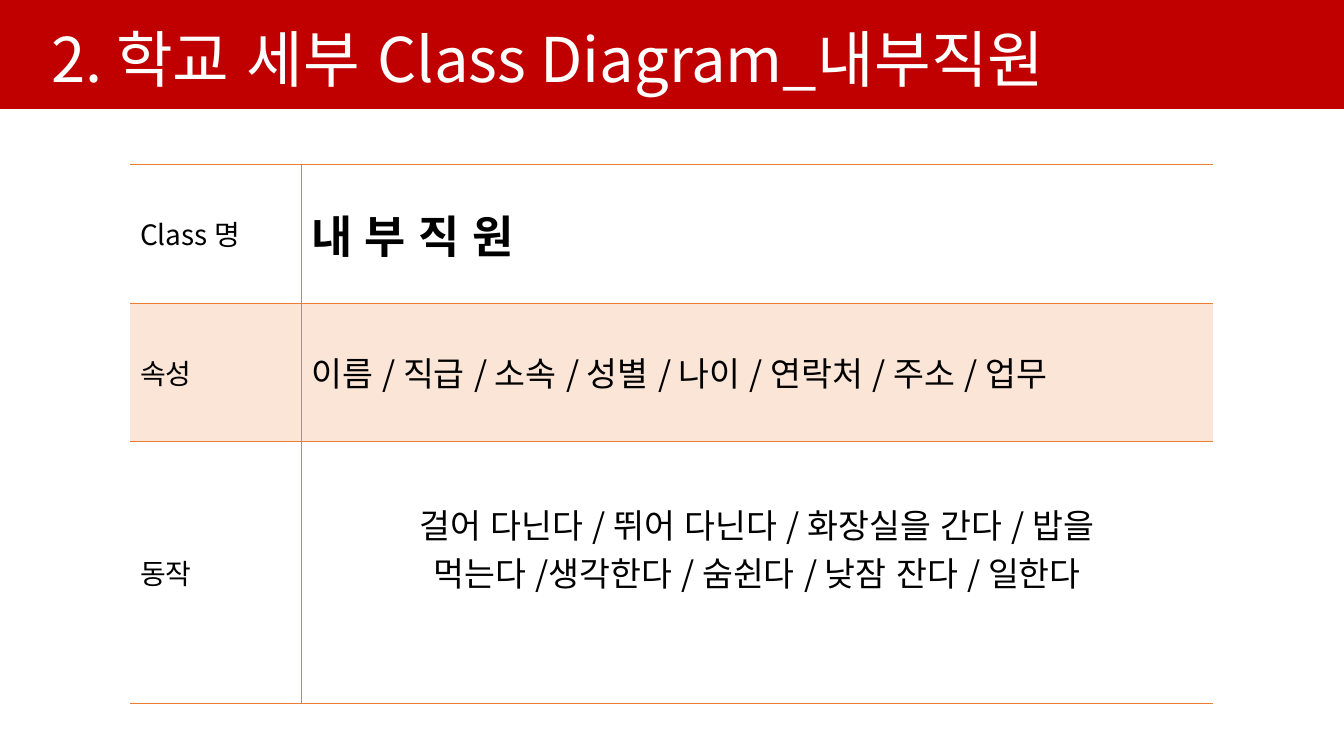
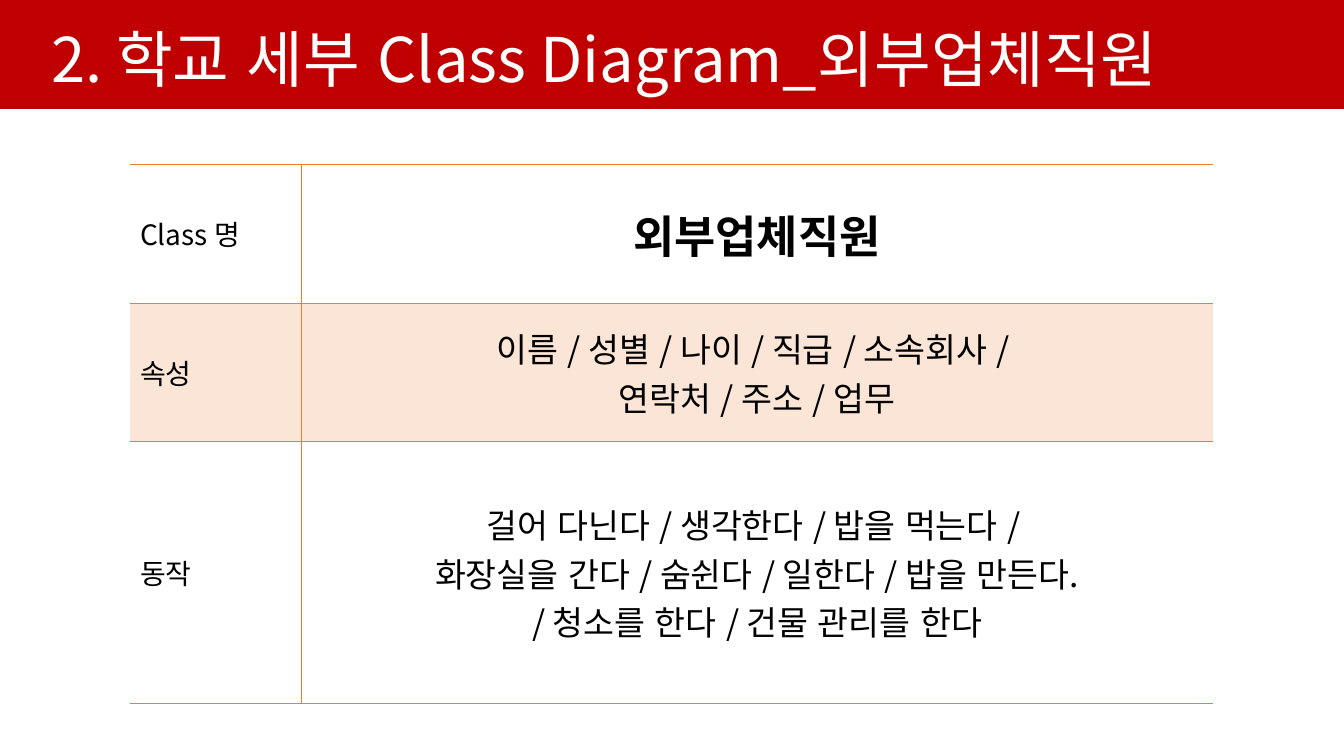
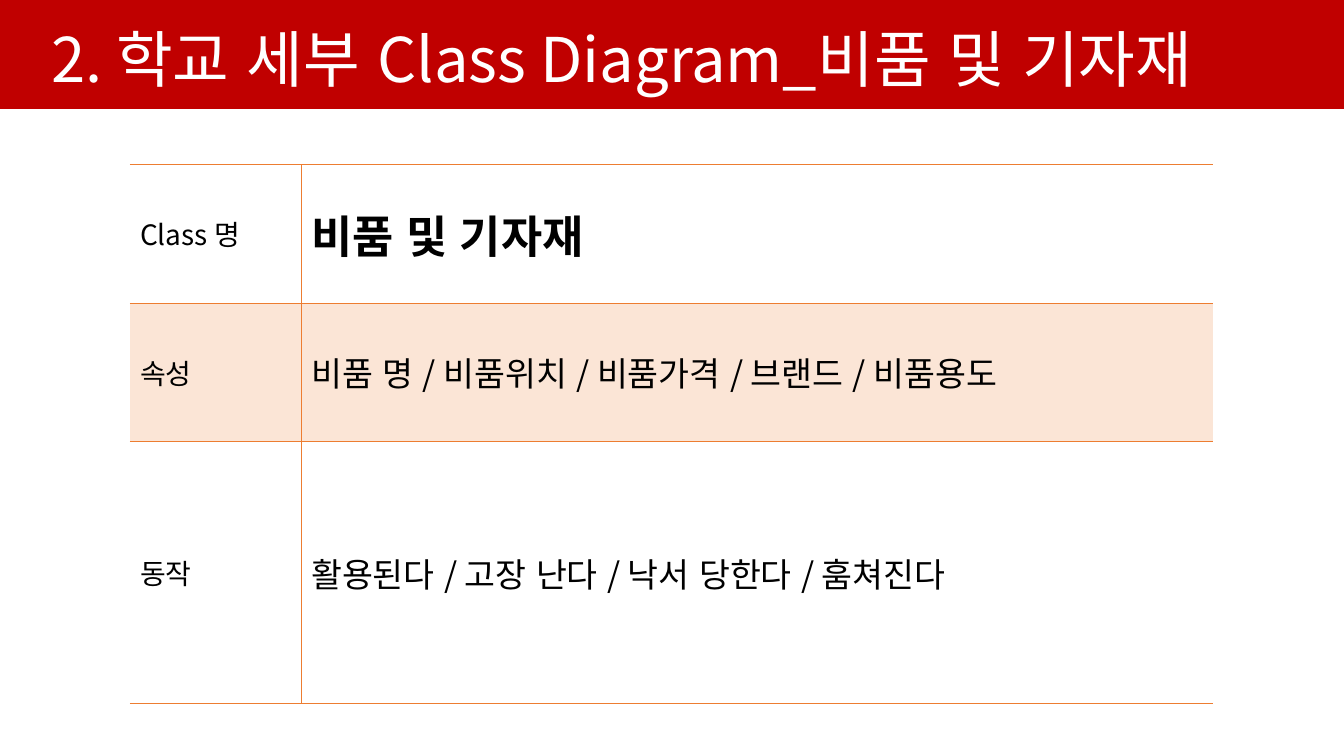
from pptx import Presentation
from pptx.dml.color import RGBColor
from pptx.enum.lang import MSO_LANGUAGE_ID
from pptx.enum.shapes import MSO_SHAPE
from pptx.enum.text import MSO_ANCHOR, PP_ALIGN
from pptx.oxml.ns import qn
from pptx.oxml.xmlchemy import OxmlElement
from pptx.util import Inches, Pt

WIDTH, HEIGHT = Inches(13.34), Inches(7.5)
FONT = "Noto Sans CJK KR"
RED, ORANGE, PEACH = "C00000", "ED7D31", "FBE5D6"
WHITE, BLACK = "FFFFFF", "000000"
NO_GRID_STYLE = "{2D5ABB26-0587-4C30-8999-92F81FD0307C}"

TITLE = {"size": Pt(44)}
LABEL = {"size": Pt(20)}
NAME = {"size": Pt(32), "bold": True}
BODY = {"size": Pt(24)}

LABELS = ["Class 명", "속성", "동작"]
COLUMN_SHARES = [15.8, 84.2]
ROW_SHARES = [25.7, 25.7, 48.6]
ROW_EDGES = ["TB", "T", "B"]
COLUMN_EDGES = ["R", "L"]
LEFT, CENTER = PP_ALIGN.LEFT, PP_ALIGN.CENTER

SLIDES = [
    {
        "subject": "내부직원",
        "title_width": 83.06,
        "cells": [
            (["내 부 직 원"], LEFT),
            (["이름 / 직급 / 소속 / 성별 / 나이 / 연락처 / 주소 / 업무"], LEFT),
            (["걸어 다닌다 / 뛰어 다닌다 / 화장실을 간다 / 밥을 먹는다 /"
              "생각한다 / 숨쉰다 / 낮잠 잔다 / 일한다"], CENTER),
        ],
        "actions_bottom": Inches(0.54),
    },
    {
        "subject": "외부업체직원",
        "title_width": 89.51,
        "cells": [
            (["외부업체직원"], CENTER),
            (["이름 / 성별 / 나이 / 직급 / 소속회사 / ",
              "연락처 / 주소 / 업무"], CENTER),
            (["걸어 다닌다 / 생각한다 / 밥을 먹는다 / ",
              "화장실을 간다 / 숨쉰다 / 일한다 / 밥을 만든다.",
              "/ 청소를 한다 / 건물 관리를 한다"], CENTER),
        ],
    },
    {
        "subject": "비품 및 기자재",
        "title_width": 91.98,
        "cells": [
            (["비품 및 기자재"], LEFT),
            (["비품 명 / 비품위치 / 비품가격 / 브랜드 / 비품용도"], LEFT),
            (["활용된다 / 고장 난다 / 낙서 당한다 / 훔쳐진다"], LEFT),
        ],
    },
]


def rgb(color):
    return RGBColor.from_string(color)


def share(total, percent):
    return round(total * percent / 100)


def area(left, top, width, height):
    return (share(WIDTH, left), share(HEIGHT, top),
            share(WIDTH, width), share(HEIGHT, height))


def apply(target, values):
    for name, value in values.items():
        setattr(target, name, value)


def write(tf, lines, font, color=BLACK, paragraph=None):
    for i, line in enumerate(lines):
        p = tf.paragraphs[0] if i == 0 else tf.add_paragraph()
        apply(p, paragraph or {})
        r = p.add_run()
        r.text = line
        apply(r.font, {"name": FONT, "language_id": MSO_LANGUAGE_ID.KOREAN,
                       "bold": False, **font})
        r.font.color.rgb = rgb(color)
        ea = OxmlElement("a:ea")
        ea.set("typeface", FONT)
        r.font._element.find(qn("a:latin")).addnext(ea)


def add_band(s):
    sp = s.shapes.add_shape(MSO_SHAPE.RECTANGLE, *area(0, 0, 100, 14.4))
    sp.shadow.inherit = False
    sp.fill.solid()
    sp.fill.fore_color.rgb = rgb(RED)
    sp.line.fill.background()


def add_title(s, subject, width):
    tf = s.shapes.add_textbox(*area(3.07, -3.33, width, 16.67)).text_frame
    apply(tf, {"word_wrap": True, "vertical_anchor": MSO_ANCHOR.BOTTOM})
    write(tf, [f"2. 학교 세부 Class Diagram_{subject}"], TITLE, WHITE,
          {"line_spacing": 0.9})


def add_borders(cell, edges):
    tcPr = cell._tc.get_or_add_tcPr()
    for edge in edges:
        ln = OxmlElement(f"a:ln{edge}")
        ln.set("w", str(Pt(0.45)))
        fill = OxmlElement("a:solidFill")
        color = OxmlElement("a:srgbClr")
        color.set("val", ORANGE)
        fill.append(color)
        ln.append(fill)
        tcPr.append(ln)


def format_cell(cell, row, column):
    cell.vertical_anchor = MSO_ANCHOR.MIDDLE
    add_borders(cell, COLUMN_EDGES[column] + ROW_EDGES[row])
    if row == 1:
        cell.fill.solid()
        cell.fill.fore_color.rgb = rgb(PEACH)
    else:
        cell.fill.background()


def add_class_table(s, cells, actions_bottom):
    box = area(9.67, 21.73, 80.58, 71.33)
    table = s.shapes.add_table(len(LABELS), 2, *box).table
    apply(table, {"first_row": False, "horz_banding": False})
    table._tbl.tblPr.find(qn("a:tableStyleId")).text = NO_GRID_STYLE
    for column, percent in zip(table.columns, COLUMN_SHARES):
        column.width = share(box[2], percent)
    for row, percent in zip(table.rows, ROW_SHARES):
        row.height = share(box[3], percent)
    for i, (label, (lines, align)) in enumerate(zip(LABELS, cells)):
        for j in range(2):
            format_cell(table.cell(i, j), i, j)
        write(table.cell(i, 0).text_frame, [label], LABEL)
        write(table.cell(i, 1).text_frame, lines, BODY if i else NAME,
              paragraph={"alignment": align})
    table.cell(2, 1).margin_bottom = actions_bottom


def main():
    prs = Presentation()
    apply(prs, {"slide_width": WIDTH, "slide_height": HEIGHT})
    for content in SLIDES:
        s = prs.slides.add_slide(prs.slide_layouts[6])
        add_band(s)
        add_title(s, content["subject"], content["title_width"])
        add_class_table(s, content["cells"],
                        content.get("actions_bottom", Inches(0.05)))
    prs.save("out.pptx")


if __name__ == "__main__":
    main()
